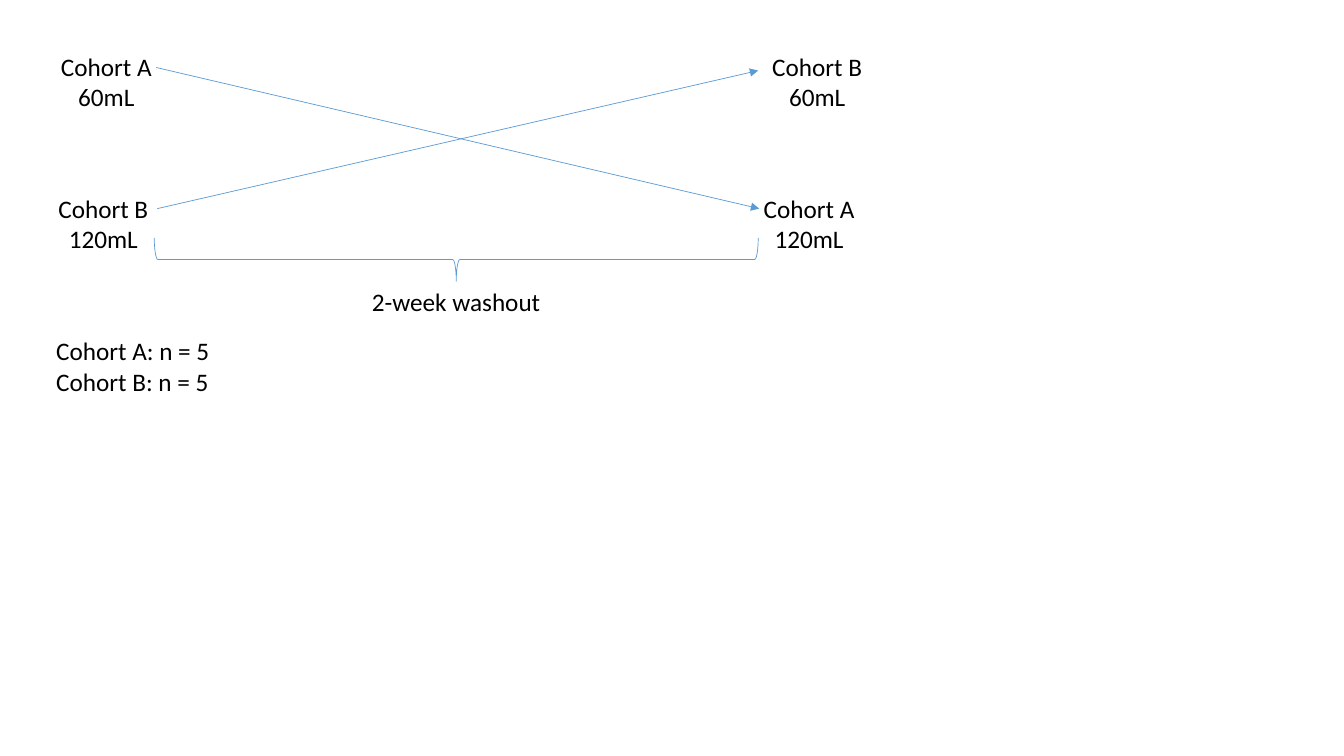
from pptx import Presentation
from pptx.dml.color import RGBColor
from pptx.enum.shapes import MSO_CONNECTOR, MSO_SHAPE
from pptx.enum.text import MSO_AUTO_SIZE, PP_ALIGN
from pptx.oxml.ns import qn
from pptx.util import Emu, Pt
from lxml.etree import SubElement

BLACK = RGBColor(0x00, 0x00, 0x00)
BLUE = RGBColor(0x5B, 0x9B, 0xD5)
SCALE = 9144


def px(*sizes):
    return [Emu(size * SCALE) for size in sizes]


def write(frame, text, size=18, font="Calibri", color=BLACK, align=PP_ALIGN.LEFT, wrap=True):
    frame.text = text
    frame.word_wrap = wrap
    frame.auto_size = MSO_AUTO_SIZE.SHAPE_TO_FIT_TEXT
    for line in frame.paragraphs:
        line.alignment = align
        line.font.size = Pt(size)
        line.font.name = font
        line.font.color.rgb = color


class Sketch:
    def __init__(self, slide, color=BLUE, weight=0.5):
        self.shapes = slide.shapes
        self.color = color
        self.weight = Pt(weight)

    def stroke(self, shape):
        shape.line.color.rgb = self.color
        shape.line.width = self.weight

    def label(self, text, left, top, width, height, **style):
        box = self.shapes.add_textbox(*px(left, top, width, height))
        write(box.text_frame, text, **style)

    def arrow(self, *ends):
        line = self.shapes.add_connector(MSO_CONNECTOR.STRAIGHT, *px(*ends))
        self.stroke(line)
        SubElement(line.line._get_or_add_ln(), qn("a:tailEnd"), type="triangle")
        SubElement(line._element.spPr, qn("a:effectLst"))

    def brace(self, left, top, width, height):
        shape = self.shapes.add_shape(MSO_SHAPE.RIGHT_BRACE, *px(left, top, width, height))
        shape.rotation = 90
        shape.shadow.inherit = False
        shape.fill.background()
        self.stroke(shape)


def main():
    deck = Presentation()
    deck.slide_width, deck.slide_height = px(1333, 750)
    sketch = Sketch(deck.slides.add_slide(deck.slide_layouts[6]))

    sketch.arrow(155, 67, 753, 207)
    sketch.arrow(156, 207, 752, 70)

    cohorts = [
        ("Cohort A 60mL", 49, 46),
        ("Cohort A 120mL", 746, 187),
        ("Cohort B 120mL", 46, 187),
        ("Cohort B 60mL", 754, 46),
    ]
    for text, left, top in cohorts:
        sketch.label(text, left, top, 113, 71, align=PP_ALIGN.CENTER)

    sketch.brace(431, -42, 43, 599)
    sketch.label("2-week washout", 359, 279, 189, 40, wrap=False)
    sketch.label("Cohort A: n = 5\nCohort B: n = 5", 46, 328, 174, 71, wrap=False)

    deck.save("out.pptx")


if __name__ == "__main__":
    main()
